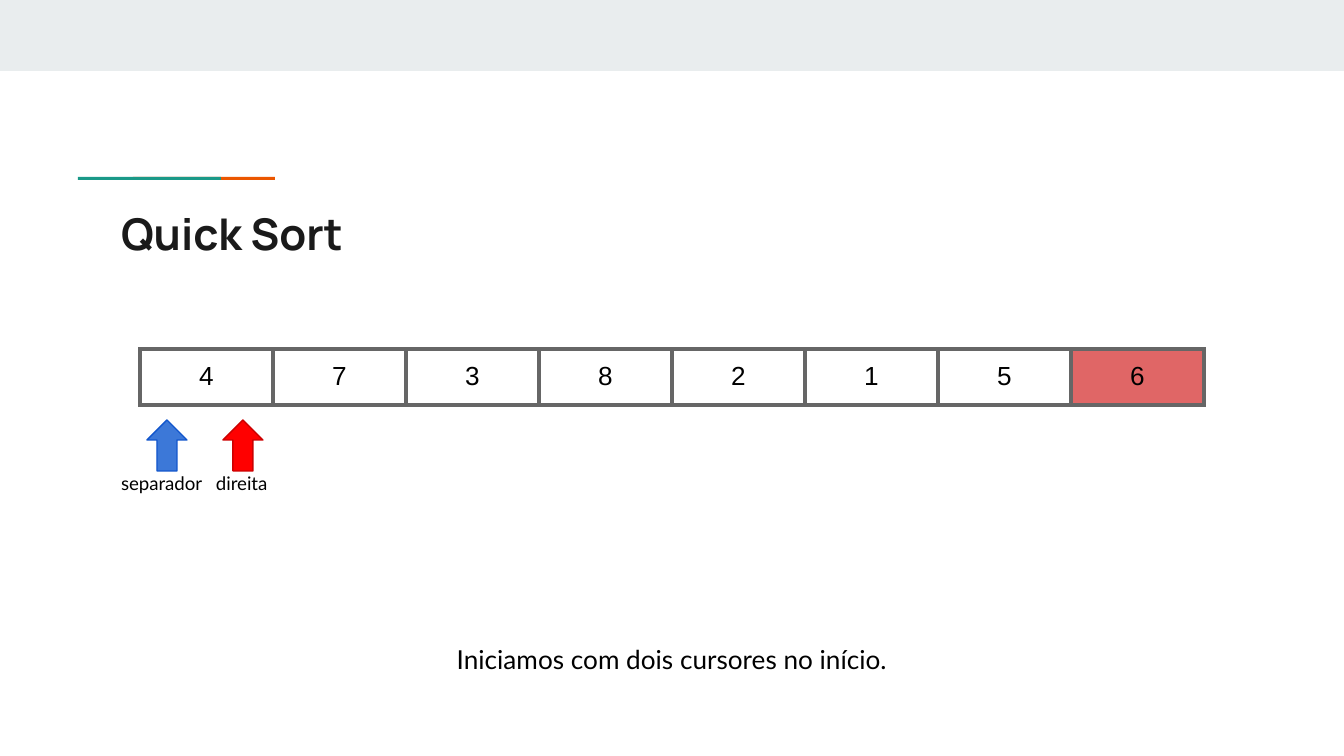
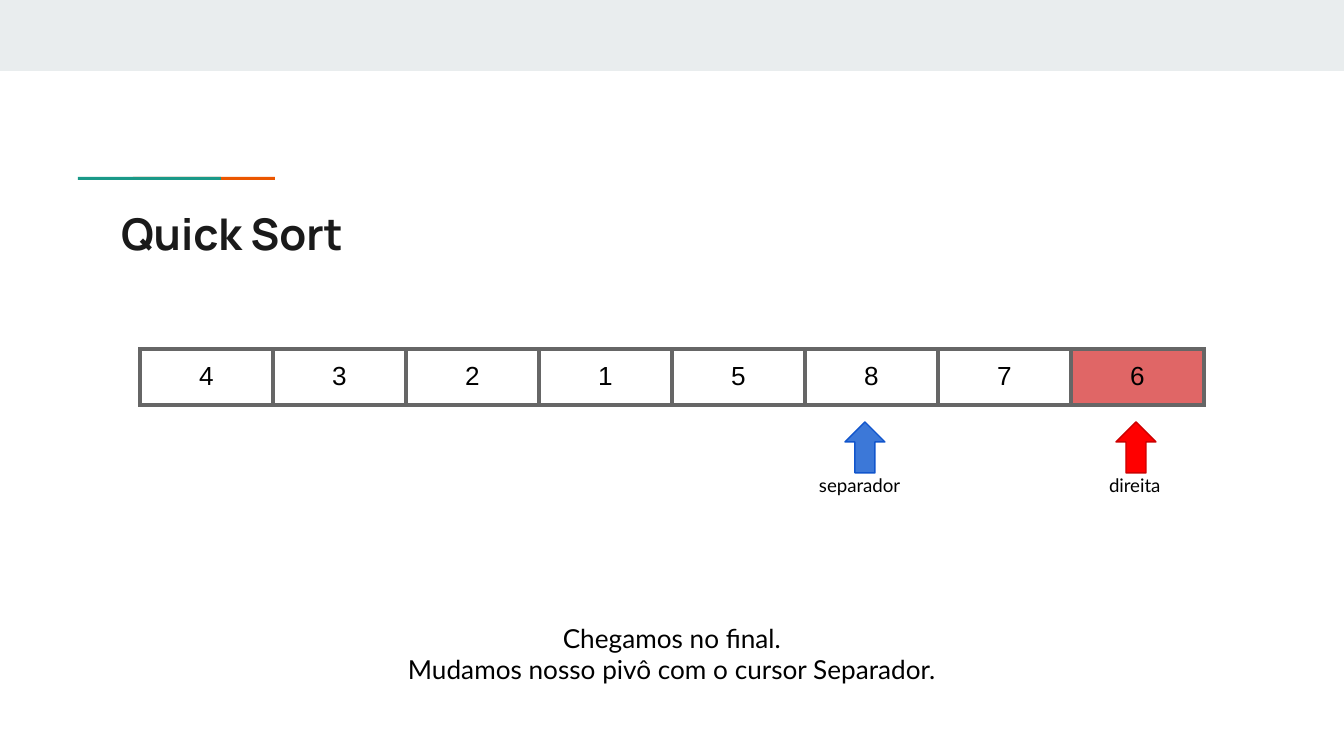
from dataclasses import dataclass

from lxml.etree import SubElement
from pptx import Presentation
from pptx.dml.color import RGBColor
from pptx.enum.shapes import MSO_SHAPE
from pptx.enum.text import MSO_ANCHOR, MSO_AUTO_SIZE, PP_ALIGN
from pptx.oxml.ns import qn
from pptx.slide import Slide
from pptx.table import _Cell
from pptx.text.text import TextFrame
from pptx.util import Emu, Pt

PX_PER_INCH = 134.4
SLIDE_WIDTH, SLIDE_HEIGHT = 1344, 756
TITLE_ONLY_LAYOUT = 5
INSET = 13

TEXT_COLOR = "000000"
TITLE_COLOR = "1A1A1A"
BAND_COLOR = "E9EDEE"
TEAL, ORANGE = "1A9988", "EB5600"
PIVOT_COLOR = "E06666"
BORDER_COLOR = "666666"

ARRAY_LEFT, ARRAY_TOP = 140, 349
CELL_WIDTH, CELL_HEIGHT = 133, 56
ARROW_WIDTH, ARROW_HEIGHT = 40, 51
LABEL_DROP, LABEL_HEIGHT = 41, 50


@dataclass(frozen=True)
class Box:
    left: int
    top: int
    width: int
    height: int

    def emu(self) -> tuple[Emu, Emu, Emu, Emu]:
        return px(self.left), px(self.top), px(self.width), px(self.height)


@dataclass(frozen=True)
class Cursor:
    label: str
    fill: str
    line: str
    label_shift: int
    label_width: int


@dataclass(frozen=True)
class Step:
    """One state of the array; the last value is the pivot."""
    values: list[int]
    cursor_lefts: tuple[int, int]
    cursor_top: int
    caption: str
    caption_box: Box


TITLE_BOX = Box(108, 194, 1130, 79)
BARS = [
    (Box(0, 0, SLIDE_WIDTH, 71), BAND_COLOR),
    (Box(133, 177, 142, 3), ORANGE),
    (Box(78, 177, 143, 3), TEAL),
]
CURSORS = (
    Cursor("separador", "3C78D8", "1155CC", -39, 112),
    Cursor("direita", "FF0000", "CC0000", -20, 81),
)
STEPS = [
    Step([4, 7, 3, 8, 2, 1, 5, 6], (147, 223), 420,
         "Iniciamos com dois cursores no início.", Box(240, 630, 864, 59)),
    Step([4, 3, 2, 1, 5, 8, 7, 6], (845, 1116), 422,
         "Chegamos no final.\nMudamos nosso pivô com o cursor Separador.",
         Box(147, 609, 1050, 90)),
]


def px(length: int) -> Emu:
    return Emu(round(length * 914400 / PX_PER_INCH))


def color(value: str) -> RGBColor:
    return RGBColor.from_string(value)


def write_text(frame: TextFrame, text: str, font: str, size: float,
               text_color: str = TEXT_COLOR, bold: bool = False,
               align: PP_ALIGN = PP_ALIGN.LEFT) -> None:
    frame.text = text
    frame.word_wrap = True
    frame.margin_left = frame.margin_right = px(INSET)
    frame.margin_top = frame.margin_bottom = px(INSET)
    for paragraph in frame.paragraphs:
        paragraph.alignment = align
        for run in paragraph.runs:
            run.font.name = font
            run.font.size = Pt(size)
            run.font.bold = bold
            run.font.color.rgb = color(text_color)


def add_bar(slide: Slide, box: Box, fill: str) -> None:
    shape = slide.shapes.add_shape(MSO_SHAPE.RECTANGLE, *box.emu())
    shape.shadow.inherit = False
    shape.fill.solid()
    shape.fill.fore_color.rgb = color(fill)
    shape.line.fill.background()


def set_title(slide: Slide, text: str) -> None:
    title = slide.shapes.title
    title.left, title.top, title.width, title.height = TITLE_BOX.emu()
    write_text(title.text_frame, text, "Manrope", 23.4, TITLE_COLOR, bold=True)
    title.text_frame.vertical_anchor = MSO_ANCHOR.TOP
    title.text_frame.auto_size = MSO_AUTO_SIZE.NONE


def set_borders(cell: _Cell) -> None:
    """Outline a cell; call before filling it, as borders precede the fill."""
    properties = cell._tc.get_or_add_tcPr()
    for side in ("a:lnL", "a:lnR", "a:lnT", "a:lnB"):
        line = SubElement(properties, qn(side), w=str(Pt(2.25)))
        fill = SubElement(line, qn("a:solidFill"))
        SubElement(fill, qn("a:srgbClr"), val=BORDER_COLOR)


def add_array(slide: Slide, values: list[int]) -> None:
    box = Box(ARRAY_LEFT, ARRAY_TOP, CELL_WIDTH * len(values), CELL_HEIGHT)
    table = slide.shapes.add_table(1, len(values), *box.emu()).table
    table.first_row = table.horz_banding = False
    for index, value in enumerate(values):
        table.columns[index].width = px(CELL_WIDTH)
        cell = table.cell(0, index)
        write_text(cell.text_frame, str(value), "Arial", 14, align=PP_ALIGN.CENTER)
        cell.margin_left = cell.margin_right = px(INSET)
        cell.margin_top = cell.margin_bottom = px(INSET)
        set_borders(cell)
        if index == len(values) - 1:
            cell.fill.solid()
            cell.fill.fore_color.rgb = color(PIVOT_COLOR)
        else:
            cell.fill.background()


def add_cursor(slide: Slide, cursor: Cursor, left: int, top: int) -> None:
    group = slide.shapes.add_group_shape()
    arrow_box = Box(left, top, ARROW_WIDTH, ARROW_HEIGHT)
    arrow = group.shapes.add_shape(MSO_SHAPE.UP_ARROW, *arrow_box.emu())
    arrow.shadow.inherit = False
    arrow.fill.solid()
    arrow.fill.fore_color.rgb = color(cursor.fill)
    arrow.line.color.rgb = color(cursor.line)
    arrow.line.width = Pt(0.75)
    label_box = Box(left + cursor.label_shift, top + LABEL_DROP,
                    cursor.label_width, LABEL_HEIGHT)
    label = group.shapes.add_textbox(*label_box.emu())
    write_text(label.text_frame, cursor.label, "Lato", 10)


def add_caption(slide: Slide, text: str, box: Box) -> None:
    caption = slide.shapes.add_textbox(*box.emu())
    write_text(caption.text_frame, text, "Lato", 14, align=PP_ALIGN.CENTER)
    caption.text_frame.auto_size = MSO_AUTO_SIZE.SHAPE_TO_FIT_TEXT


def add_step(presentation: Presentation, step: Step) -> None:
    slide = presentation.slides.add_slide(presentation.slide_layouts[TITLE_ONLY_LAYOUT])
    for box, fill in BARS:
        add_bar(slide, box, fill)
    set_title(slide, "Quick Sort")
    add_array(slide, step.values)
    for cursor, left in zip(CURSORS, step.cursor_lefts):
        add_cursor(slide, cursor, left, step.cursor_top)
    add_caption(slide, step.caption, step.caption_box)


def main() -> None:
    presentation = Presentation()
    presentation.slide_width = px(SLIDE_WIDTH)
    presentation.slide_height = px(SLIDE_HEIGHT)
    for step in STEPS:
        add_step(presentation, step)
    presentation.save("out.pptx")


if __name__ == "__main__":
    main()
